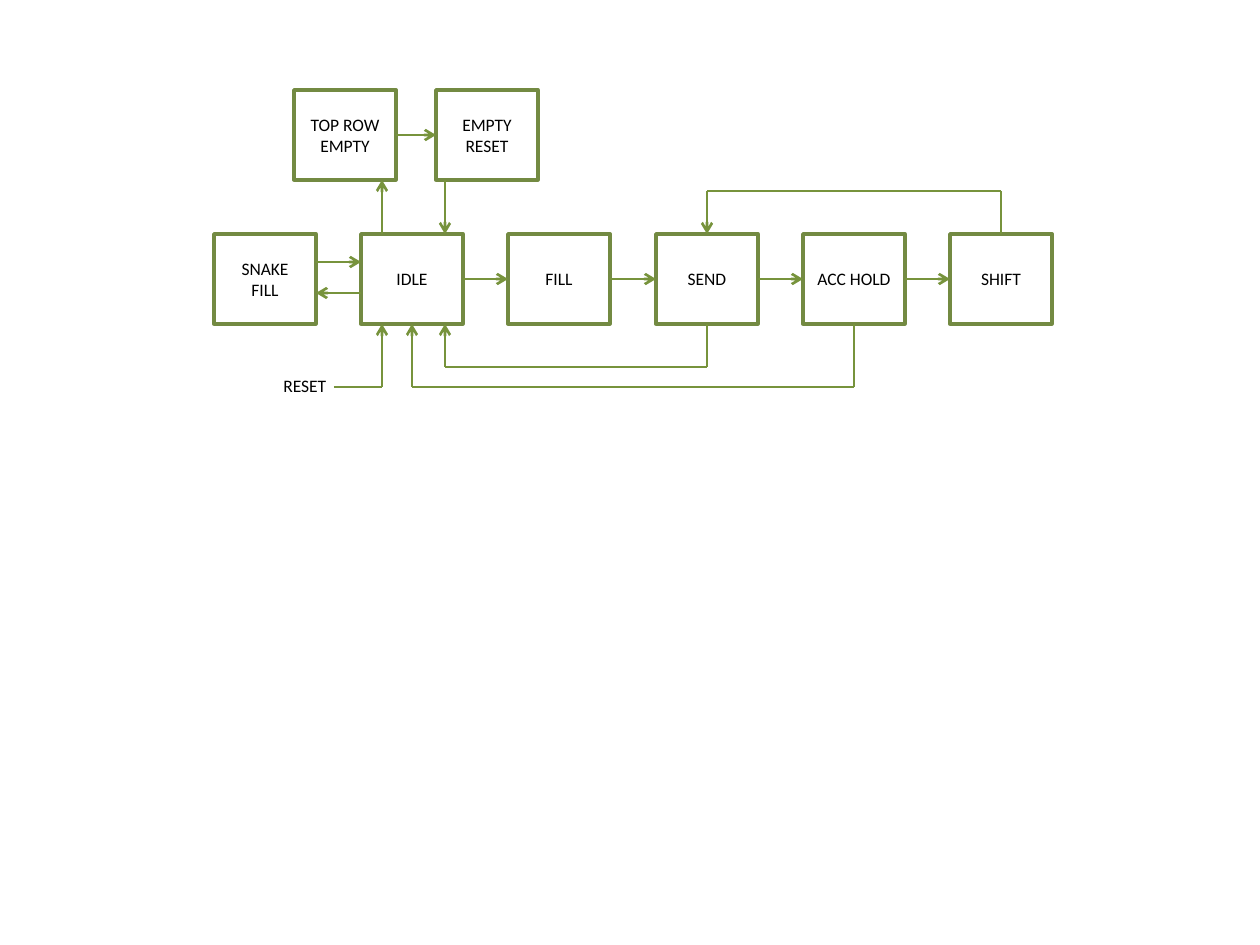
from lxml.etree import SubElement
from pptx import Presentation
from pptx.dml.color import RGBColor
from pptx.enum.shapes import MSO_CONNECTOR, MSO_SHAPE
from pptx.enum.text import MSO_ANCHOR, PP_ALIGN
from pptx.oxml.ns import qn
from pptx.util import Emu, Inches, Pt

PX = Inches(1) / 126
BOX_WIDTH, BOX_HEIGHT = 102, 90
MAIN_TOP, UPPER_TOP = 234, 90
MAIN_BOTTOM = MAIN_TOP + BOX_HEIGHT
UPPER_BOTTOM = UPPER_TOP + BOX_HEIGHT
TOP, LEFT, BOTTOM, RIGHT = range(4)
BOX_LINE, ARROW_LINE, TEXT = "738A42", "77933C", "000000"


def px(value):
    return Emu(round(value * PX))


def color(value):
    return RGBColor.from_string(value)


def write(shape, text, alignment):
    paragraph = shape.text_frame.paragraphs[0]
    paragraph.alignment = alignment
    run = paragraph.add_run()
    run.text = text
    run.font.name = "Calibri"
    run.font.size = Pt(10)
    run.font.color.rgb = color(TEXT)


def add_state(slide, text, left, top):
    shape = slide.shapes.add_shape(
        MSO_SHAPE.RECTANGLE, px(left), px(top), px(BOX_WIDTH), px(BOX_HEIGHT))
    shape.shadow.inherit = False
    shape.fill.background()
    shape.line.color.rgb = color(BOX_LINE)
    shape.line.width = Pt(2)
    shape.text_frame.word_wrap = True
    shape.text_frame.vertical_anchor = MSO_ANCHOR.MIDDLE
    write(shape, text, PP_ALIGN.CENTER)
    return shape


def add_line(slide, start, end, arrow=False):
    line = slide.shapes.add_connector(
        MSO_CONNECTOR.STRAIGHT, *(px(value) for value in (*start, *end)))
    line.line.color.rgb = color(ARROW_LINE)
    line.line.width = Pt(1.5)
    if arrow:
        SubElement(line.line._get_or_add_ln(), qn("a:tailEnd"), type="arrow")
    SubElement(line._element.spPr, qn("a:effectLst"))
    return line


def add_route(slide, points, source=None, target=None):
    """Draw a path of straight lines; source and target are (shape, side)."""
    last = len(points) - 2
    lines = [add_line(slide, start, end, index == last)
             for index, (start, end) in enumerate(zip(points, points[1:]))]
    if source:
        lines[0].begin_connect(*source)
    if target:
        lines[-1].end_connect(*target)


def add_step(slide, source, target):
    """Join two neighbouring states from side to side."""
    add_route(slide, [(0, 0), (0, 0)], (source, RIGHT), (target, LEFT))


def add_label(slide, text, left, top, width, height):
    label = slide.shapes.add_textbox(px(left), px(top), px(width), px(height))
    label.text_frame.word_wrap = True
    write(label, text, PP_ALIGN.LEFT)


def main():
    presentation = Presentation()
    presentation.slide_width, presentation.slide_height = Inches(10), Inches(7.5)
    slide = presentation.slides.add_slide(presentation.slide_layouts[6])

    # States
    names = ["SNAKE FILL", "IDLE", "FILL", "SEND", "ACC HOLD", "SHIFT"]
    lefts = [214 + round(147.2 * index) for index in range(len(names))]
    states = [add_state(slide, name, left, MAIN_TOP)
              for name, left in zip(names, lefts)]
    snake, idle, fill, send, hold, shift = states
    top_row_empty = add_state(slide, "TOP ROW EMPTY", 294, UPPER_TOP)
    empty_reset = add_state(slide, "EMPTY RESET", 436, UPPER_TOP)

    # Forward steps
    for source, target in zip(states[1:], states[2:]):
        add_step(slide, source, target)
    add_step(slide, top_row_empty, empty_reset)

    # Feedback paths
    idle_x, send_x, hold_x, shift_x = (
        lefts[index] + BOX_WIDTH // 2 for index in (1, 3, 4, 5))
    entry_x, return_x = 382, 445
    send_y, hold_y, shift_y = 367, 387, 191
    add_route(slide, [(send_x, MAIN_BOTTOM), (send_x, send_y),
                      (return_x, send_y), (return_x, MAIN_BOTTOM)],
              source=(send, BOTTOM))
    add_route(slide, [(hold_x, MAIN_BOTTOM), (hold_x, hold_y),
                      (idle_x, hold_y), (idle_x, MAIN_BOTTOM)],
              (hold, BOTTOM), (idle, BOTTOM))
    add_route(slide, [(shift_x, MAIN_TOP), (shift_x, shift_y),
                      (send_x, shift_y), (send_x, MAIN_TOP)],
              (shift, TOP), (send, TOP))

    # Exchanges between idle and its side states
    snake_right, idle_left = lefts[0] + BOX_WIDTH, lefts[1]
    add_route(slide, [(entry_x, MAIN_TOP), (entry_x, UPPER_BOTTOM)])
    add_route(slide, [(return_x, UPPER_BOTTOM), (return_x, MAIN_TOP)])
    add_route(slide, [(snake_right, 262), (idle_left, 262)])
    add_route(slide, [(idle_left, 293), (snake_right, 293)])

    # Reset entry
    add_route(slide, [(334, hold_y), (entry_x, hold_y), (entry_x, MAIN_BOTTOM)])
    add_label(slide, "RESET", 271, 369, 73, 34)

    presentation.save("out.pptx")


if __name__ == "__main__":
    main()
